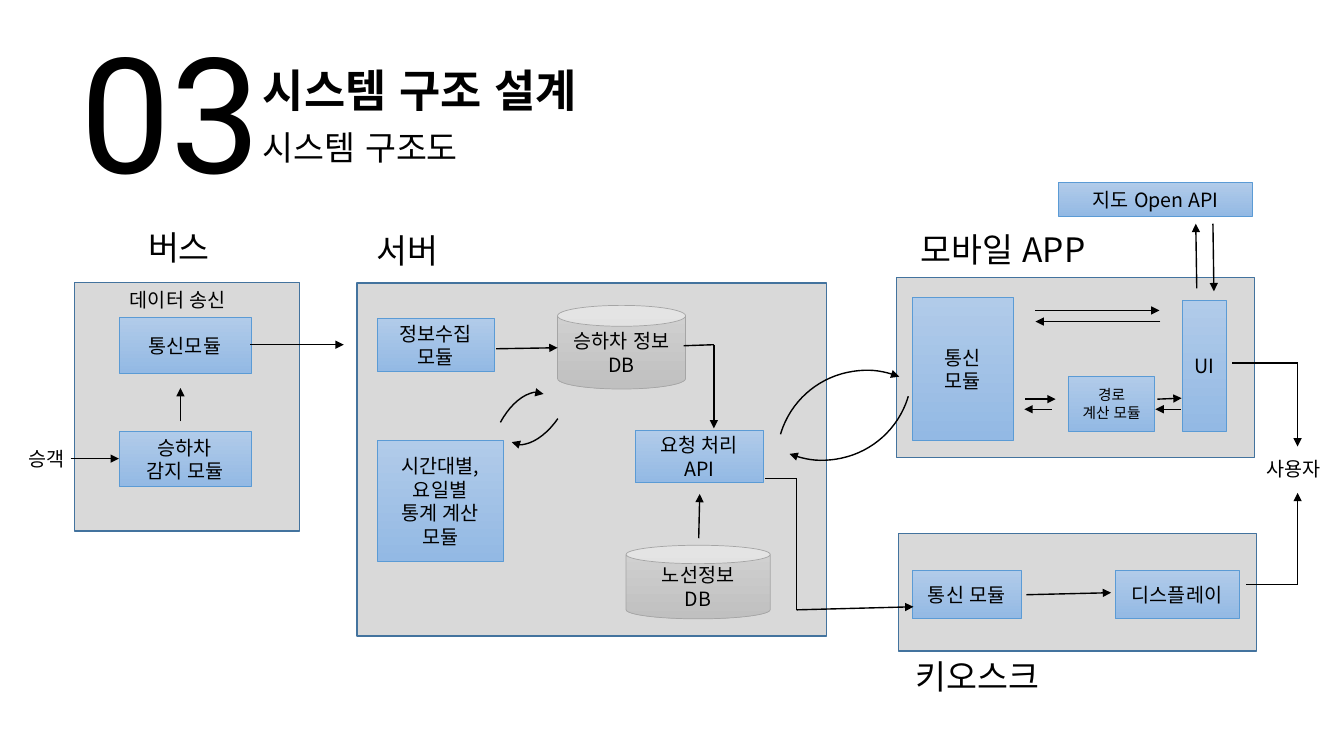
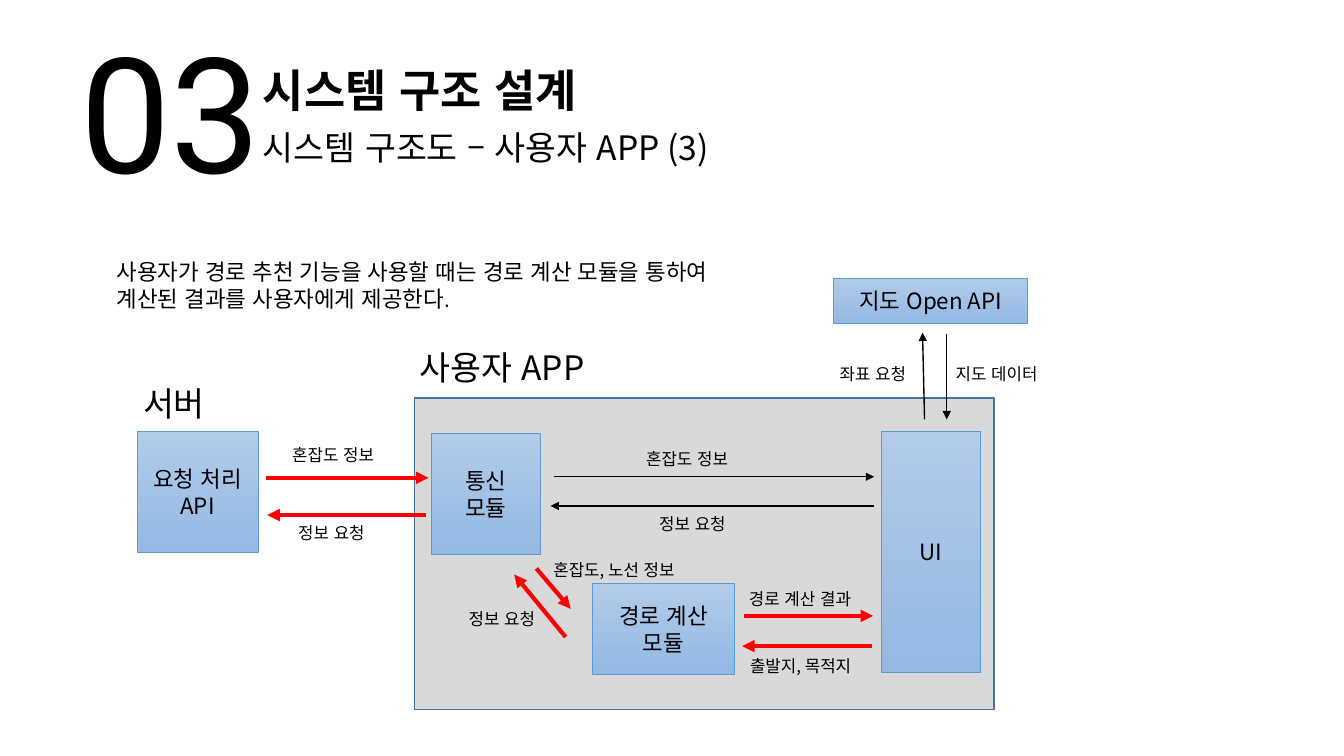
from dataclasses import dataclass
from itertools import pairwise

from pptx import Presentation
from pptx.dml.color import RGBColor
from pptx.enum.lang import MSO_LANGUAGE_ID
from pptx.enum.shapes import MSO_CONNECTOR, MSO_SHAPE
from pptx.enum.text import MSO_ANCHOR, MSO_AUTO_SIZE, PP_ALIGN
from pptx.oxml.ns import qn
from pptx.oxml.xmlchemy import OxmlElement
from pptx.util import Inches, Pt


@dataclass(frozen=True)
class Theme:
    font: str = "Noto Sans CJK KR"
    number_font: str = "Roboto"
    body_font: str = "Arial"
    ink: str = "000000"
    highlight: str = "FF0000"
    panel_fill: str = "D9D9D9"
    panel_line: str = "43739E"
    module_fill: tuple = ("B1CBE9", "93B9E4")
    module_line: str = "5B9BD5"
    store_fill: tuple = ("D2D2D2", "C0C0C0")
    store_line: str = "A5A5A5"
    number_size: float = 115
    title_size: float = 32
    heading_size: float = 24
    body_size: float = 16
    module_size: float = 14
    label_size: float = 12
    small_size: float = 10.5
    thin: float = 0.5
    normal: float = 1
    thick: float = 3


THEME = Theme()


def color(value):
    return RGBColor.from_string(value)


def apply_format(target, values):
    for name, value in values.items():
        setattr(target, name, value)


def write_text(frame, text, size, font=THEME.font, bold=False, align=PP_ALIGN.LEFT):
    for index, line in enumerate(text.split("\n")):
        paragraph = frame.paragraphs[0] if index == 0 else frame.add_paragraph()
        paragraph.alignment = align
        run = paragraph.add_run()
        run.text = line
        apply_format(run.font, {
            "name": font,
            "size": Pt(size),
            "bold": bold,
            "language_id": MSO_LANGUAGE_ID.KOREAN,
        })
        run.font.color.rgb = color(THEME.ink)
        east_asian = OxmlElement("a:ea")
        east_asian.set("typeface", THEME.font)
        run.font.fill
        run._r.get_or_add_rPr().find(qn("a:latin")).addnext(east_asian)


def add_text(slide, box, text, size, font=THEME.font, bold=False, wrap=True):
    shape = slide.shapes.add_textbox(*map(Inches, box))
    apply_format(shape.text_frame, {
        "word_wrap": wrap,
        "auto_size": MSO_AUTO_SIZE.SHAPE_TO_FIT_TEXT,
    })
    write_text(shape.text_frame, text, size, font, bold)


def add_heading(slide, left, top, width, text):
    add_text(slide, (left, top, width, 0.5), text, THEME.heading_size)


def add_label(slide, left, top, width, text, size=THEME.label_size):
    add_text(slide, (left, top, width, 0.3), text, size, wrap=False)


def set_line(shape, line_color, width):
    shape.line.color.rgb = color(line_color)
    shape.line.width = Pt(width)


def add_arrowhead(shape):
    tail = OxmlElement("a:tailEnd")
    tail.set("type", "triangle")
    shape.element.spPr.find(qn("a:ln")).append(tail)


def add_box(slide, kind, box, line_color, line_width):
    shape = slide.shapes.add_shape(kind, *map(Inches, box))
    shape.shadow.inherit = False
    set_line(shape, line_color, line_width)
    return shape


def add_panel(slide, *box):
    shape = add_box(slide, MSO_SHAPE.RECTANGLE, box, THEME.panel_line, THEME.normal)
    shape.fill.solid()
    shape.fill.fore_color.rgb = color(THEME.panel_fill)


def add_gradient_box(slide, kind, box, text, size, fill, line_color):
    shape = add_box(slide, kind, box, line_color, THEME.thin)
    shape.fill.gradient()
    shape.fill.gradient_angle = 270
    for stop, value in zip(shape.fill.gradient_stops, fill):
        stop.color.rgb = color(value)
    apply_format(shape.text_frame, {
        "word_wrap": True,
        "vertical_anchor": MSO_ANCHOR.MIDDLE,
    })
    write_text(shape.text_frame, text, size, align=PP_ALIGN.CENTER)


def add_module(slide, box, text, size=THEME.module_size):
    add_gradient_box(slide, MSO_SHAPE.RECTANGLE, box, text, size,
                     THEME.module_fill, THEME.module_line)


def add_store(slide, box, text):
    add_gradient_box(slide, MSO_SHAPE.CAN, box, text, THEME.module_size,
                     THEME.store_fill, THEME.store_line)


def add_arrow(slide, *points, line_color=THEME.ink, width=THEME.normal):
    for start, end in pairwise(points):
        connector = slide.shapes.add_connector(
            MSO_CONNECTOR.STRAIGHT, *map(Inches, (*start, *end)))
        set_line(connector, line_color, width)
        connector.element.spPr.append(OxmlElement("a:effectLst"))
    add_arrowhead(connector)


def add_arc(slide, box, rotation, start=None):
    shape = add_box(slide, MSO_SHAPE.ARC, box, THEME.ink, THEME.normal)
    shape.fill.background()
    shape.rotation = rotation
    if start is not None:
        shape.adjustments[0] = start
    add_arrowhead(shape)


def add_section_slide(presentation, subtitle):
    slide = presentation.slides.add_slide(presentation.slide_layouts[6])
    add_text(slide, (0.7, 0.08, 2.04, 2.04), "03", THEME.number_size,
             THEME.number_font, wrap=False)
    add_text(slide, (2.51, 0.57, 5.96, 0.64), "시스템 구조 설계", THEME.title_size, bold=True)
    add_heading(slide, 2.51, 1.21, 7.97, subtitle)
    return slide


def build_overview(presentation):
    slide = add_section_slide(presentation, "시스템 구조도")
    for panel in (
        (0.74, 2.8, 2.23, 2.47),
        (3.54, 2.81, 4.66, 3.5),
        (8.89, 2.75, 3.55, 1.79),
        (8.91, 5.29, 3.55, 1.17),
    ):
        add_panel(slide, *panel)
    for heading in (
        (1.37, 2.2, 0.98, "버스"),
        (3.64, 2.23, 0.98, "서버"),
        (9.03, 2.22, 2.47, "모바일 APP"),
        (8.98, 6.46, 2.1, "키오스크"),
    ):
        add_heading(slide, *heading)
    for label in (
        (1.19, 2.81, 1.25, "데이터 송신"),
        (0.18, 4.38, 0.65, "승객"),
        (12.46, 4.48, 0.94, "사용자"),
    ):
        add_label(slide, *label, size=THEME.module_size)
    for box, text in (
        ((1.18, 3.15, 1.31, 0.55), "통신모듈"),
        ((1.18, 4.28, 1.31, 0.55), "승하차\n감지 모듈"),
        ((3.74, 3.16, 1.16, 0.53), "정보수집\n모듈"),
        ((3.74, 4.37, 1.25, 1.2), "시간대별, 요일별\n통계 계산 모듈"),
        ((6.3, 4.27, 1.27, 0.52), "요청 처리 API"),
        ((9.05, 2.95, 1, 1.42), "통신\n모듈"),
        ((11.73, 2.98, 0.43, 1.3), "UI"),
        ((10.5, 1.81, 1.92, 0.34), "지도 Open API"),
        ((9.05, 5.66, 1.08, 0.48), "통신 모듈"),
        ((11.06, 5.66, 1.23, 0.48), "디스플레이"),
    ):
        add_module(slide, box, text)
    add_module(slide, (10.6, 3.73, 0.85, 0.55), "경로\n계산 모듈", THEME.small_size)
    add_store(slide, (5.53, 3.03, 1.27, 0.83), "승하차 정보\nDB")
    add_store(slide, (6.21, 5.41, 1.43, 0.73), "노선정보\nDB")
    for points in (
        ((0.7, 4.55), (1.18, 4.55)),
        ((2.48, 3.42), (3.41, 3.42)),
        ((1.79, 4.18), (1.79, 3.85)),
        ((4.92, 3.46), (5.53, 3.45)),
        ((6.78, 3.43), (7.08, 3.42), (7.08, 4.25)),
        ((6.93, 5.34), (6.94, 4.9)),
        ((7.59, 4.75), (7.9, 4.75), (7.9, 6.05), (9.06, 6.02)),
        ((12.03, 2.22), (12.04, 2.89)),
        ((11.87, 2.86), (11.86, 2.22)),
        ((10.27, 3.08), (11.5, 3.08)),
        ((11.51, 3.19), (10.27, 3.19)),
        ((10.17, 3.96), (10.47, 3.96)),
        ((10.43, 4.06), (10.16, 4.06)),
        ((11.48, 3.96), (11.72, 3.95)),
        ((11.71, 4.06), (11.46, 4.06)),
        ((10.18, 5.9), (11.02, 5.88)),
        ((12.22, 3.6), (12.87, 3.6), (12.87, 4.43)),
        ((12.36, 5.8), (12.87, 5.8), (12.87, 4.89)),
    ):
        add_arrow(slide, *points)
    for arc in (
        ((4.73, 4.06, 0.9, 0.49), 298),
        ((4.88, 3.77, 0.9, 0.49), 124.4),
        ((7.71, 3.67, 1.77, 1.78), 291.5, 158.94),
        ((7.27, 2.79, 1.77, 1.78), 111.5, 158.94),
    ):
        add_arc(slide, *arc)


def build_user_app(presentation):
    slide = add_section_slide(presentation, "시스템 구조도 – 사용자 APP (3)")
    add_text(slide, (1.06, 2.51, 6.75, 0.64),
             "사용자가 경로 추천 기능을 사용할 때는 경로 계산 모듈을 통하여\n"
             "계산된 결과를 사용자에게 제공한다.",
             THEME.body_size, THEME.body_font, wrap=False)
    add_panel(slide, 4.11, 3.95, 5.75, 3.09)
    add_heading(slide, 1.32, 3.75, 0.98, "서버")
    add_heading(slide, 4.06, 3.39, 1.92, "사용자 APP")
    for box, text in (
        ((1.36, 4.28, 1.2, 1.2), "요청 처리\nAPI"),
        ((4.28, 4.3, 1.08, 1.2), "통신\n모듈"),
        ((5.88, 5.79, 1.4, 0.9), "경로 계산 모듈"),
        ((8.74, 4.28, 0.98, 2.39), "UI"),
        ((8.27, 2.76, 1.92, 0.45), "지도 Open API"),
    ):
        add_module(slide, box, text, THEME.body_size)
    for points in (
        ((9.39, 3.31), (9.39, 4.16)),
        ((9.17, 4.16), (9.15, 3.3)),
        ((5.49, 4.73), (8.67, 4.73)),
        ((8.67, 5.02), (5.46, 5.02)),
    ):
        add_arrow(slide, *points)
    for points in (
        ((2.64, 4.74), (4.25, 4.74)),
        ((4.23, 5.11), (2.65, 5.11)),
        ((7.38, 6.11), (8.66, 6.11)),
        ((8.65, 6.41), (7.36, 6.41)),
        ((5.32, 5.64), (5.66, 6.04)),
        ((5.61, 6.32), (5.1, 5.7)),
    ):
        add_arrow(slide, *points, line_color=THEME.highlight, width=THEME.thick)
    for label in (
        (8.23, 3.56, 0.93, "좌표 요청"),
        (9.38, 3.56, 1.1, "지도 데이터"),
        (2.8, 4.36, 1.1, "혼잡도 정보"),
        (2.86, 5.14, 0.93, "정보 요청"),
        (6.31, 4.4, 1.1, "혼잡도 정보"),
        (6.44, 5.05, 0.93, "정보 요청"),
        (5.39, 5.5, 1.54, "혼잡도, 노선 정보"),
        (4.55, 5.99, 0.93, "정보 요청"),
        (7.33, 5.79, 1.33, "경로 계산 결과"),
        (7.34, 6.46, 1.31, "출발지, 목적지"),
    ):
        add_label(slide, *label)


def main():
    presentation = Presentation()
    apply_format(presentation, {"slide_width": Inches(13.33), "slide_height": Inches(7.5)})
    build_overview(presentation)
    build_user_app(presentation)
    presentation.save("out.pptx")


if __name__ == "__main__":
    main()
